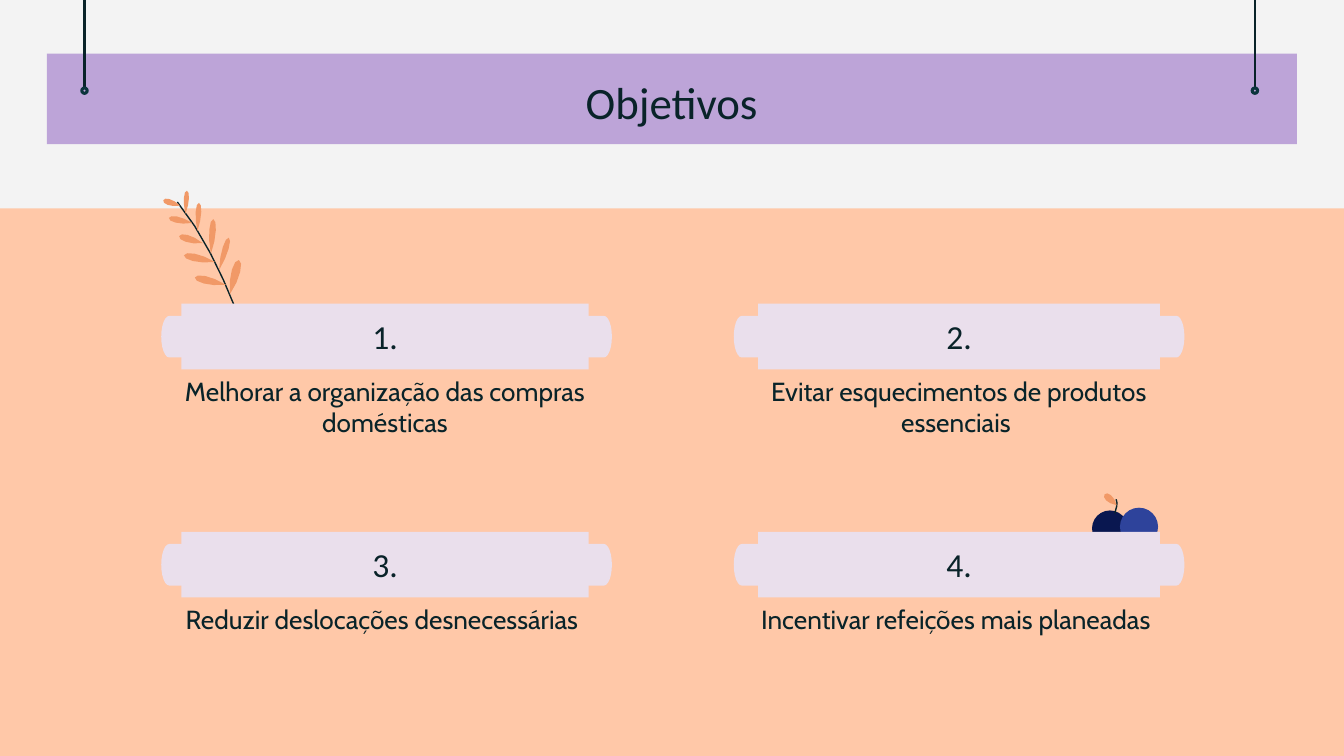
from lxml.etree import SubElement
from pptx import Presentation
from pptx.dml.color import RGBColor
from pptx.enum.shapes import MSO_CONNECTOR, MSO_SHAPE
from pptx.enum.text import MSO_ANCHOR, PP_ALIGN
from pptx.oxml.ns import qn
from pptx.util import Pt

PAPER = RGBColor(0xF3, 0xF3, 0xF3)
PEACH = RGBColor(0xFF, 0xC8, 0xA8)
PURPLE = RGBColor(0xBD, 0xA4, 0xD8)
LILAC = RGBColor(0xEA, 0xDF, 0xEC)
INK = RGBColor(0x09, 0x23, 0x29)
TEAL = RGBColor(0x0C, 0x34, 0x3D)
ORANGE = RGBColor(0xF1, 0x99, 0x67)
NAVY = RGBColor(0x09, 0x17, 0x50)
BLUE = RGBColor(0x2E, 0x43, 0x9B)

CARDS = [
    "Melhorar a organização das compras domésticas",
    "Evitar esquecimentos de produtos essenciais ",
    "Reduzir deslocações desnecessárias ",
    "Incentivar refeições mais planeadas ",
]

# Left edge of the card, then left edge and width of its bar
COLS = [(86.4, 97.2, 218.2), (393.1, 406.1, 215.3)]

# Base x, base y, tip x, tip y, side bulge; relative to the branch box
LEAVES = [
    (36.1, 55.7, 41, 37.3, 3.4),
    (30.4, 42.7, 35.6, 25.4, 2.4),
    (26, 34.1, 27.3, 15.4, 2.6),
    (18.8, 21.8, 19.6, 6.7, 2.2),
    (12.4, 12.5, 13.1, 0.2, 2),
    (9.5, 8.2, 0.5, 5.3, 2.4),
    (16, 17.5, 3.5, 14.8, 2.5),
    (21.7, 28.3, 9, 24.5, 2.8),
    (28.2, 38.4, 11.6, 34.8, 3),
    (34, 50.6, 17.4, 46.7, 3),
]


def block(slide, kind, x, y, w, h, fill):
    shape = slide.shapes.add_shape(kind, Pt(x), Pt(y), Pt(w), Pt(h))
    shape.shadow.inherit = False
    shape.fill.solid()
    shape.fill.fore_color.rgb = fill
    shape.line.fill.background()
    return shape


def write(shape, text, size=14, font="Cabin", color=INK, anchor=MSO_ANCHOR.TOP):
    frame = shape.text_frame
    frame.word_wrap = True
    frame.vertical_anchor = anchor
    frame.margin_left = frame.margin_right = Pt(7.2)
    frame.margin_top = frame.margin_bottom = Pt(7.2)
    para = frame.paragraphs[0]
    para.alignment = PP_ALIGN.CENTER
    run = para.add_run()
    run.text = text
    run.font.size = Pt(size)
    run.font.name = font
    run.font.color.rgb = color


def label(slide, x, y, w, h, text, **style):
    write(slide.shapes.add_textbox(Pt(x), Pt(y), Pt(w), Pt(h)), text, **style)


def curve(a, b, c, d, steps=4):
    """Points along a cubic curve."""
    points = []
    for i in range(steps + 1):
        t = i / steps
        s = 1 - t
        points.append(tuple(
            s**3 * p + 3 * s * s * t * q + 3 * s * t * t * r + t**3 * u
            for p, q, r, u in zip(a, b, c, d)))
    return points


def outline(slide, points, closed):
    pen = slide.shapes.build_freeform(
        Pt(points[0][0]), Pt(points[0][1]), scale=1.0)
    pen.add_line_segments([(Pt(x), Pt(y)) for x, y in points[1:]], close=closed)
    shape = pen.convert_to_shape()
    shape.shadow.inherit = False
    return shape


def leaf(slide, base, tip, bulge):
    dx, dy = tip[0] - base[0], tip[1] - base[1]
    size = (dx * dx + dy * dy) ** 0.5
    nx, ny = -dy / size * bulge, dx / size * bulge

    def side(sign):
        low = (base[0] + dx * 0.5 + sign * nx, base[1] + dy * 0.5 + sign * ny)
        high = (tip[0] + sign * nx * 0.8, tip[1] + sign * ny * 0.8)
        return curve(base, low, high, tip)

    shape = outline(slide, side(1) + side(-1)[-2:0:-1], True)
    shape.fill.solid()
    shape.fill.fore_color.rgb = ORANGE
    shape.line.fill.background()


def stem(slide, points):
    shape = outline(slide, curve(*points), False)
    shape.fill.background()
    shape.line.color.rgb = INK
    shape.line.width = Pt(0.75)


def hanger(slide, x, y):
    """Cord from the top edge to a ring centred at x, y."""
    cord = slide.shapes.add_connector(
        MSO_CONNECTOR.STRAIGHT, Pt(x), Pt(0), Pt(x), Pt(y - 1.9))
    cord.line.color.rgb = INK
    cord.line.width = Pt(1.25)
    SubElement(cord._element.spPr, qn("a:effectLst"))
    ring = block(slide, MSO_SHAPE.DONUT, x - 1.9, y - 1.9, 3.8, 3.8, TEAL)
    ring.line.color.rgb = TEAL
    ring.line.width = Pt(0.75)


def banner(slide, x, y, w, h):
    block(slide, MSO_SHAPE.RECTANGLE, x, y, w, h, PURPLE)
    for side in (x + 20.1, x + w - 22.5):
        hanger(slide, side, y + 19.9)
    label(slide, x + 83, y + 4, w - 166.4, 45.4, "Objetivos",
          size=24, font="Calibri")


def branch(slide, x, y):
    stem(slide, [(x + 8, y + 6.2), (x + 21, y + 22),
                 (x + 32, y + 45), (x + 38.2, y + 61)])
    for bx, by, tx, ty, bulge in LEAVES:
        leaf(slide, (x + bx, y + by), (x + tx, y + ty), bulge)


def plums(slide, x, y):
    block(slide, MSO_SHAPE.OVAL, x, y + 9.5, 19.2, 19.2, NAVY)
    block(slide, MSO_SHAPE.OVAL, x + 15, y + 8, 20.4, 20.4, BLUE)
    stem(slide, [(x + 13, y + 3.5), (x + 14.2, y + 6),
                 (x + 12.6, y + 9), (x + 12.3, y + 11)])
    leaf(slide, (x + 13.3, y + 6.7), (x + 6.8, y + 0.8), 2.8)


def card(slide, x, y, w, left, bar, number, text):
    # Side tabs
    for tab_x, turn in ((x, 0), (x + w - 25.9, 180)):
        tab = block(slide, MSO_SHAPE.FLOWCHART_STORED_DATA,
                    tab_x, y + 6.5, 25.9, 22.3, LILAC)
        tab.rotation = turn
    # Number bar and text
    plate = block(slide, MSO_SHAPE.RECTANGLE, left, y, bar, 35.2, LILAC)
    write(plate, f"{number}.", size=18, font="Calibri", anchor=MSO_ANCHOR.BOTTOM)
    label(slide, left + bar / 2 - 125.6, y + 31, 251.2, 37.4, text)


def main():
    deck = Presentation()
    deck.slide_width, deck.slide_height = Pt(720), Pt(405)
    slide = deck.slides.add_slide(deck.slide_layouts[6])

    # Background
    slide.background.fill.solid()
    slide.background.fill.fore_color.rgb = PAPER
    block(slide, MSO_SHAPE.RECTANGLE, 0, 111.6, 720, 293.4, PEACH)

    # Title and ornaments
    banner(slide, 25.2, 28.7, 669.6, 48.6)
    branch(slide, 87, 102)
    plums(slide, 585, 264)

    # Grid of goals
    for i, text in enumerate(CARDS):
        row, col = divmod(i, 2)
        x, left, bar = COLS[col]
        card(slide, x, 162.7 + row * 122.2, 241.4, left, bar, i + 1, text)

    deck.save("out.pptx")


if __name__ == "__main__":
    main()
